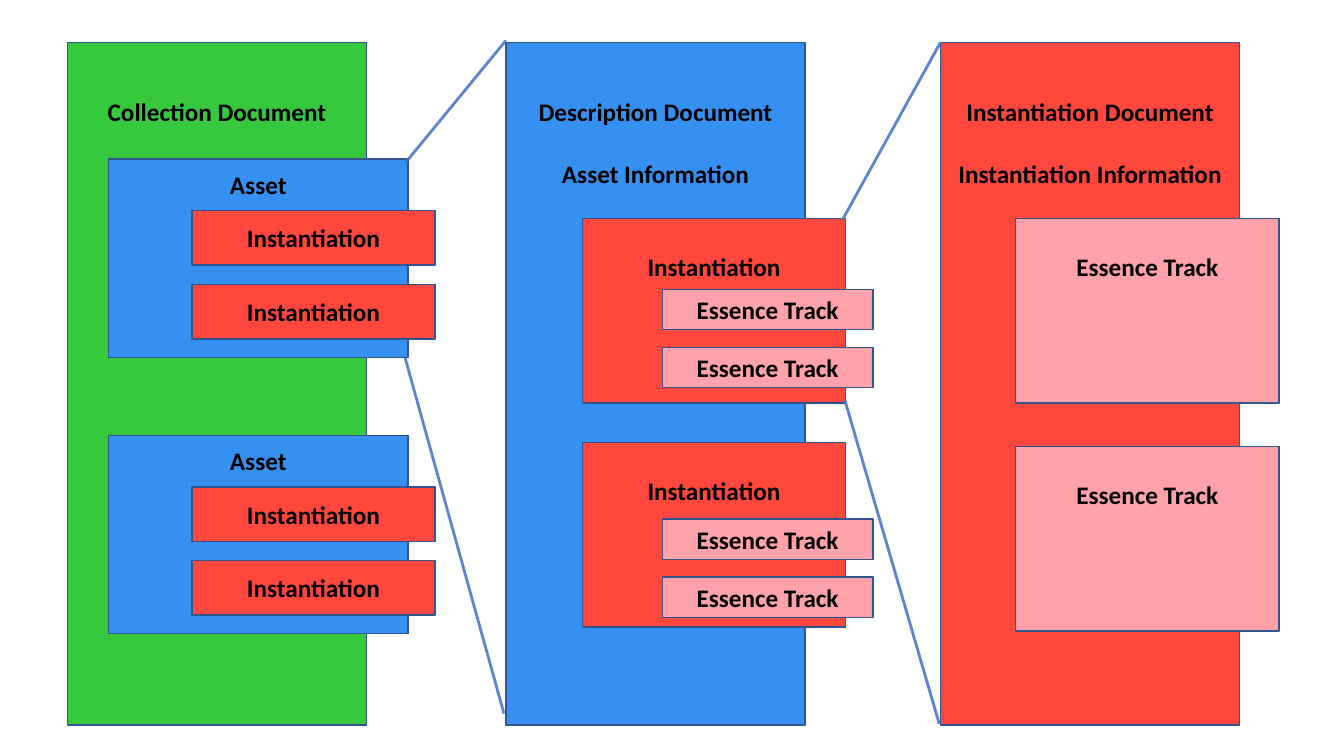
from lxml import etree
from pptx import Presentation
from pptx.dml.color import RGBColor
from pptx.enum.shapes import MSO_CONNECTOR, MSO_SHAPE
from pptx.enum.text import MSO_ANCHOR, PP_ALIGN
from pptx.oxml.ns import qn
from pptx.util import Cm, Pt

RECT, STRAIGHT = MSO_SHAPE.RECTANGLE, MSO_CONNECTOR.STRAIGHT
TOP, MIDDLE, CENTER = MSO_ANCHOR.TOP, MSO_ANCHOR.MIDDLE, PP_ALIGN.CENTER

GREEN = RGBColor(0x36, 0xC9, 0x3E)
BLUE = RGBColor(0x36, 0x90, 0xF2)
RED = RGBColor(0xFF, 0x47, 0x3E)
PINK = RGBColor(0xFF, 0xA2, 0xA9)
OUTLINE = RGBColor(0x32, 0x54, 0x91)
ZOOM_LINE = RGBColor(0x44, 0x72, 0xC4)
BLACK = RGBColor(0, 0, 0)

# Lengths in cm. A group is (top, offset of its first item or None).
DOCUMENTS = [
    dict(left=1.7, fill=GREEN, lines=["Collection Document"],
         group=dict(text="Asset", fill=BLUE, left=2.74, size=(7.54, 5.0), inset=0.26),
         item=dict(text="Instantiation", fill=RED, left=4.84, size=(6.12, 1.37), pitch=1.86),
         groups=[(4.01, 1.3), (10.97, 1.3)]),
    dict(left=12.75, fill=BLUE, lines=["Description Document", "Asset Information"],
         group=dict(text="Instantiation", fill=RED, left=14.68, size=(6.63, 4.65), inset=0.83),
         item=dict(text="Essence Track", fill=PINK, left=16.69, size=(5.31, 1.02), pitch=1.46),
         groups=[(5.51, 1.78), (11.15, 1.93)]),
    dict(left=23.7, fill=RED, lines=["Instantiation Document", "Instantiation Information"],
         group=dict(text="Essence Track", fill=PINK, left=25.6, size=(6.63, 4.65), inset=0.83),
         item=None,
         groups=[(5.51, None), (11.25, None)]),
]
ITEMS_PER_GROUP = 2
DOC_TOP, DOC_SIZE, DOC_INSET = 1.07, (7.54, 17.2), 1.37

# (x1, y1, x2, y2) from a group's corner to the next document's corner
ZOOM_LINES = [
    (10.21, 4.11, 12.75, 1.02),
    (10.21, 9.02, 12.7, 17.98),
    (21.23, 5.54, 23.7, 1.07),
    (21.29, 10.08, 23.67, 18.24),
]


def add_text(tf, lines, size=18, bold=True, color=BLACK, gap=22):
    for i, line in enumerate(lines):
        p = tf.paragraphs[0] if i == 0 else tf.add_paragraph()
        p.alignment = CENTER
        if i:
            p.space_before = Pt(gap)
        r = p.add_run()
        r.text = line
        r.font.name, r.font.size, r.font.bold = "Calibri", Pt(size), bold
        r.font.color.rgb = color


def add_box(s, lines, left, top, size, fill, inset=None):
    """Draw a box with text centred, or starting `inset` cm below its top."""
    sp = s.shapes.add_shape(RECT, Cm(left), Cm(top), Cm(size[0]), Cm(size[1]))
    sp.shadow.inherit = False
    sp.fill.solid()
    sp.fill.fore_color.rgb = fill
    sp.line.color.rgb = OUTLINE
    sp.line.width = Pt(1)
    tf = sp.text_frame
    tf.word_wrap = True
    tf.margin_top = tf.margin_bottom = Cm(inset or 0)
    tf.vertical_anchor = MIDDLE if inset is None else TOP
    add_text(tf, lines)


def add_zoom_line(s, ends):
    line = s.shapes.add_connector(STRAIGHT, *[Cm(v) for v in ends])
    line.line.color.rgb = ZOOM_LINE
    line.line.width = Pt(2)
    sp_pr = line._element.spPr
    color = next(sp_pr.iter(qn("a:srgbClr")))
    etree.SubElement(color, qn("a:alpha")).set("val", "85000")
    etree.SubElement(sp_pr, qn("a:effectLst"))


def add_document(s, doc):
    """Draw one document column with its groups and their items."""
    add_box(s, doc["lines"], doc["left"], DOC_TOP, DOC_SIZE, doc["fill"], DOC_INSET)
    group, item = doc["group"], doc["item"]
    for top, offset in doc["groups"]:
        add_box(s, [group["text"]], group["left"], top, group["size"],
                group["fill"], group["inset"])
        if item:
            for i in range(ITEMS_PER_GROUP):
                add_box(s, [item["text"]], item["left"], top + offset + i * item["pitch"],
                        item["size"], item["fill"])


def main():
    prs = Presentation()
    prs.slide_width, prs.slide_height = Cm(33.87), Cm(19.05)
    s = prs.slides.add_slide(prs.slide_layouts[6])
    for doc in DOCUMENTS:
        add_document(s, doc)
    for ends in ZOOM_LINES:
        add_zoom_line(s, ends)
    prs.save("out.pptx")


if __name__ == "__main__":
    main()
